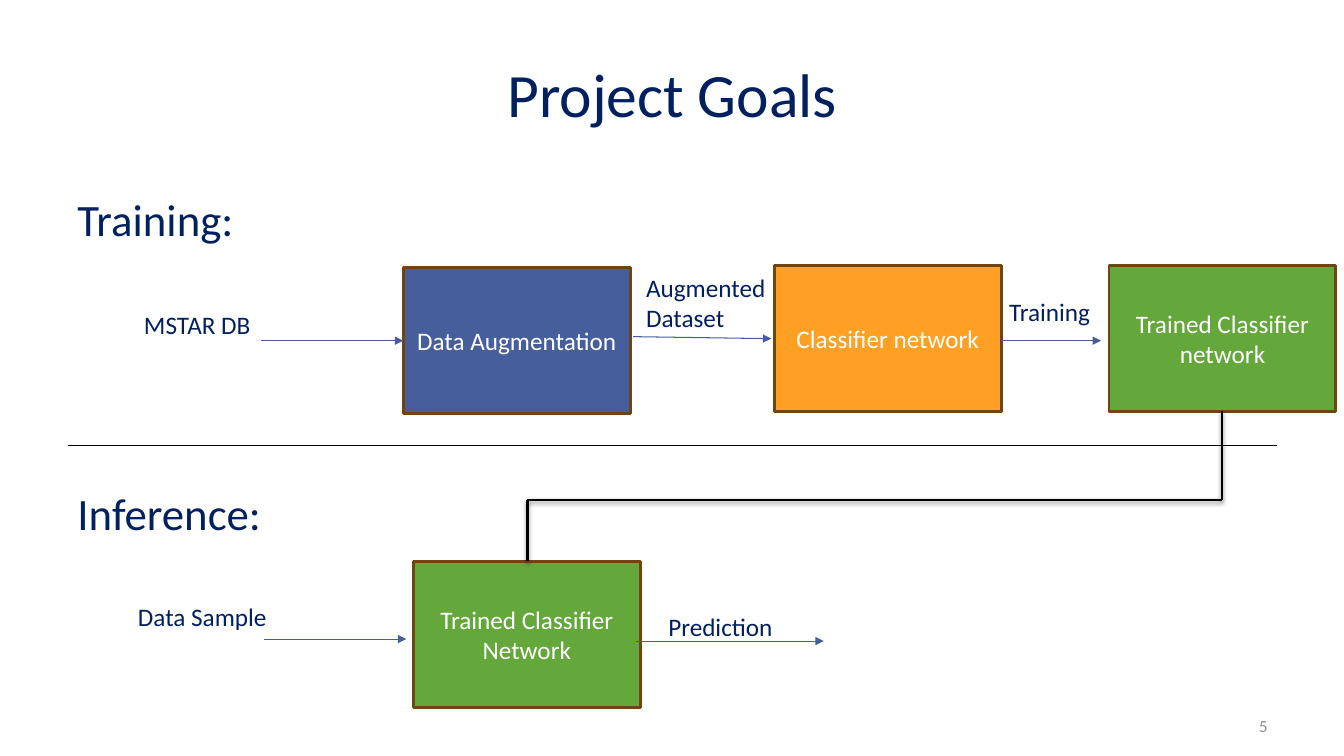
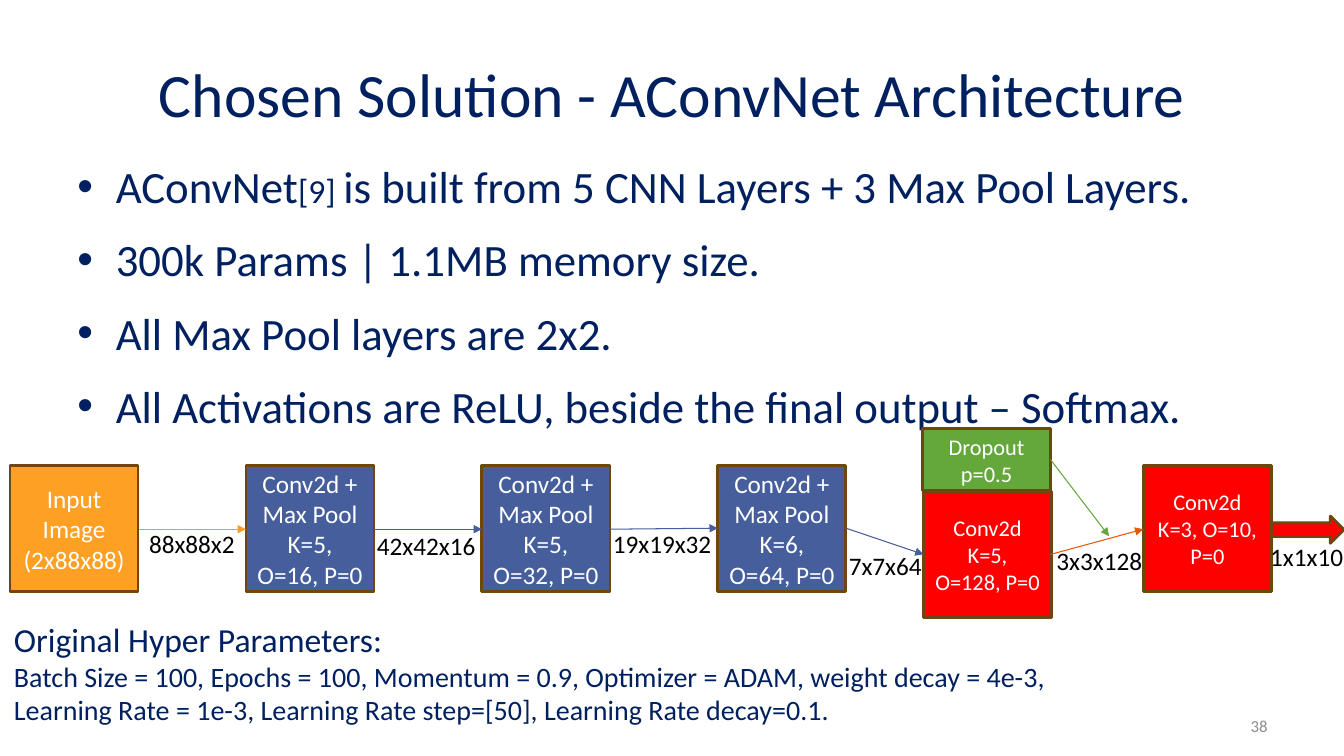
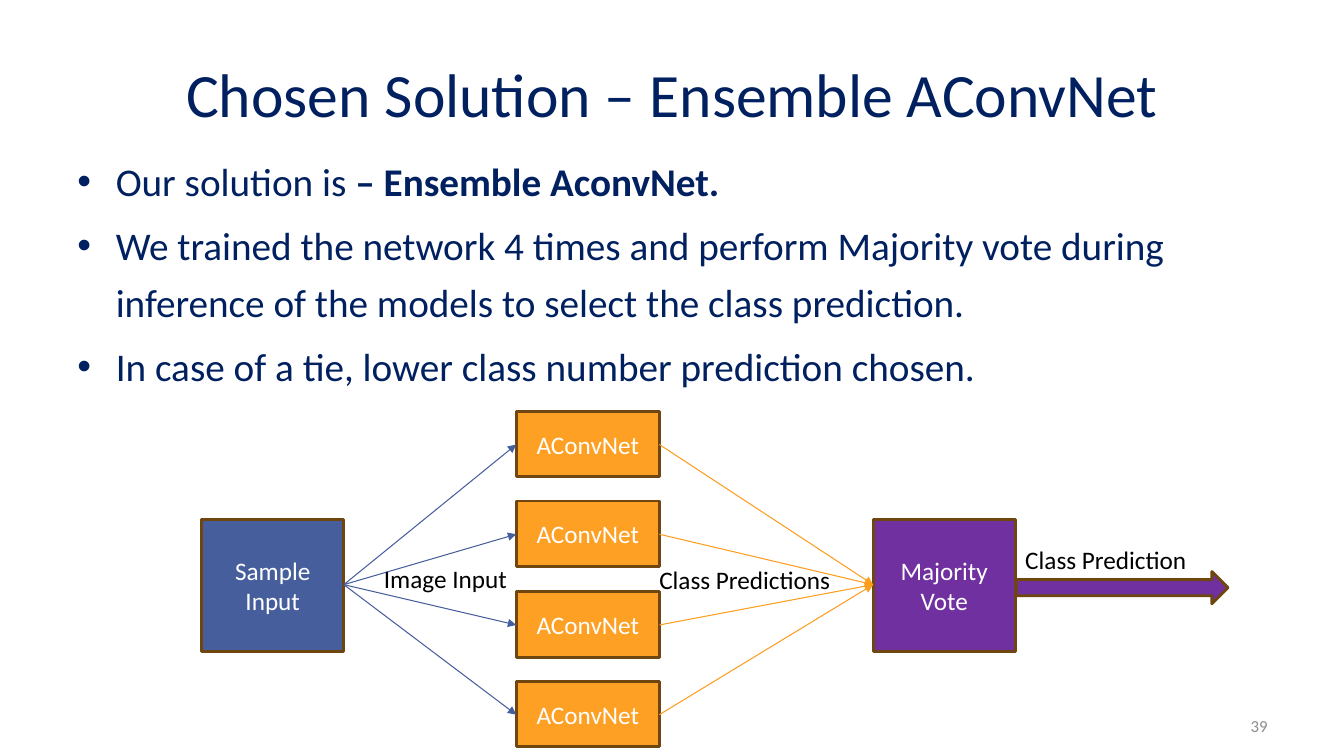
"""Build three slides on a radar image classifier: goals, architecture and ensemble."""
from lxml import etree
from pptx import Presentation
from pptx.dml.color import RGBColor
from pptx.enum.shapes import MSO_CONNECTOR, MSO_SHAPE
from pptx.enum.text import MSO_ANCHOR, PP_ALIGN
from pptx.oxml.ns import qn
from pptx.util import Pt

RECTANGLE, RIGHT_ARROW = MSO_SHAPE.RECTANGLE, MSO_SHAPE.RIGHT_ARROW
STRAIGHT = MSO_CONNECTOR.STRAIGHT
TOP, MIDDLE = MSO_ANCHOR.TOP, MSO_ANCHOR.MIDDLE
LEFT, CENTER, RIGHT = PP_ALIGN.LEFT, PP_ALIGN.CENTER, PP_ALIGN.RIGHT

PX = 9144
FONT, BULLET_FONT = "Calibri", "Arial"
NAVY, BLACK, WHITE, GRAY = "002060", "000000", "FFFFFF", "8C8C8C"
BLUE, ORANGE, GREEN, RED, PURPLE = "465E9C", "FDA023", "64A73B", "FF0000", "7030A0"
BORDER, ORANGE_LINE, RUST_LINE = "6F460F", "FD9D1D", "EB5605"
INDENT = 38

BOX = {"anchor": MIDDLE, "alignment": CENTER, "color": WHITE}
LABEL = {"wrap": False}
DARK_LABEL = {"wrap": False, "color": BLACK}
BODY = {"size": 32, "line_spacing": 1.2}
NUMBER = {"anchor": MIDDLE, "alignment": RIGHT, "color": GRAY, "size": 12}


def add_block(slide, box, paragraphs, fill=None, kind=RECTANGLE, size=18, color=NAVY,
              anchor=TOP, alignment=LEFT, wrap=True, line_spacing=1.0, gap=0, bullet=False):
    """Add a filled shape, or a text box without a fill, and write its paragraphs."""
    left, top, width, height = [value * PX for value in box]
    if fill:
        shape = slide.shapes.add_shape(kind, left, top, width, height)
        shape.shadow.inherit = False
        shape.fill.solid()
        shape.fill.fore_color.rgb = RGBColor.from_string(fill)
        shape.line.color.rgb = RGBColor.from_string(BORDER)
        shape.line.width = Pt(2)
    else:
        shape = slide.shapes.add_textbox(left, top, width, height)
    frame = shape.text_frame
    frame.word_wrap, frame.vertical_anchor = wrap, anchor
    for index, runs in enumerate(paragraphs):
        paragraph = frame.add_paragraph() if index else frame.paragraphs[0]
        if bullet:
            properties = paragraph._p.get_or_add_pPr()
            properties.set("marL", str(INDENT * PX))
            properties.set("indent", str(-INDENT * PX))
            etree.SubElement(properties, qn("a:buFont"), typeface=BULLET_FONT)
            etree.SubElement(properties, qn("a:buChar"), char="•")
        paragraph_format = {"alignment": alignment, "line_spacing": line_spacing,
                            "space_before": Pt(gap if index else 0)}
        for name, value in paragraph_format.items():
            setattr(paragraph, name, value)
        for text, changes in [(runs, {})] if isinstance(runs, str) else runs:
            run = paragraph.add_run()
            run.text = text
            run.font.color.rgb = RGBColor.from_string(color)
            for name, value in {"name": FONT, "size": Pt(size), **changes}.items():
                setattr(run.font, name, value)


def connect(slide, start, end, color=BLUE, width=0.75, arrow=True, shadow=False):
    """Draw a straight line between two points, with an optional arrowhead or shadow."""
    points = [value * PX for value in (*start, *end)]
    connector = slide.shapes.add_connector(STRAIGHT, *points)
    connector.line.color.rgb = RGBColor.from_string(color)
    connector.line.width = Pt(width)
    if arrow:
        etree.SubElement(connector.line._get_or_add_ln(), qn("a:tailEnd"), type="triangle")
    effects = etree.SubElement(connector._element.spPr, qn("a:effectLst"))
    if shadow:
        outer = etree.SubElement(effects, qn("a:outerShdw"), blurRad=str(Pt(3.1)),
                                 dist=str(Pt(1.6)), dir="5400000", rotWithShape="0")
        shade = etree.SubElement(outer, qn("a:srgbClr"), val=BLACK)
        etree.SubElement(shade, qn("a:alpha"), val="38000")


presentation = Presentation()
presentation.slide_width, presentation.slide_height = 1333 * PX, 750 * PX

slides = []
for title_text, number in [("Project Goals", "5"),
                           ("Chosen Solution - AConvNet Architecture", "38"),
                           ("Chosen Solution – Ensemble AConvNet", "39")]:
    slide = presentation.slides.add_slide(presentation.slide_layouts[5])
    title = slide.shapes.title
    title_box = {"left": 67, "top": 30, "width": 1200, "height": 125}
    for name, value in title_box.items():
        setattr(title, name, value * PX)
    title.text_frame.text = title_text
    title.text_frame.vertical_anchor = MIDDLE
    paragraph = title.text_frame.paragraphs[0]
    paragraph.alignment = CENTER
    title_font = paragraph.runs[0].font
    title_font.color.rgb = RGBColor.from_string(NAVY)
    for name, value in {"name": FONT, "size": Pt(44)}.items():
        setattr(title_font, name, value)
    add_block(slide, (956, 700, 311, 40), [number], **NUMBER)
    slides.append(slide)
goals, architecture, ensemble = slides

for top, heading in [(175, "Training:"), (466, "Inference:")]:
    add_block(goals, (67, top, 1200, 75), [heading], **BODY)
for left, top, text, fill in [(400, 265, "Data Augmentation", BLUE),
                              (768, 263, "Classifier network", ORANGE),
                              (1100, 263, "Trained Classifier network", GREEN),
                              (410, 557, "Trained Classifier Network", GREEN)]:
    add_block(goals, (left, top, 225, 145), [text], fill, **BOX)
for box, lines in [((133, 302, 127, 40), ["MSTAR DB"]),
                   ((631, 265, 146, 71), ["Augmented", "Dataset"]),
                   ((991, 289, 101, 40), ["Training"]),
                   ((127, 592, 149, 40), ["Data Sample"]),
                   ((653, 602, 125, 40), ["Prediction"])]:
    add_block(goals, box, lines, **LABEL)
for start, end in [((259, 338), (400, 338)), ((628, 334), (765, 336)),
                   ((993, 338), (1092, 338)), ((262, 634), (403, 634)),
                   ((631, 636), (817, 636))]:
    connect(goals, start, end)
connect(goals, (67, 442), (1267, 442), BLACK, arrow=False)
reuse_route = [(1212, 408), (1212, 496), (523, 496), (523, 557)]
for start, end in zip(reuse_route, reuse_route[1:]):
    connect(goals, start, end, BLACK, 2, arrow=False, shadow=True)

add_block(architecture, (67, 142, 1200, 310), [
    [("AConvNet", {}), ("[9] ", {"size": Pt(24)}),
     ("is built from 5 CNN Layers + 3 Max Pool Layers.", {})],
    "300k Params | 1.1MB memory size.",
    "All Max Pool layers are 2x2.",
    "All Activations are ReLU, beside the final output – Softmax.",
], gap=6.2, bullet=True, **BODY)
first_layers = [(["Input Image (2x88x88)"], ORANGE),
                (["Conv2d + Max Pool", "K=5, O=16, P=0"], BLUE),
                (["Conv2d + Max Pool", "K=5, O=32, P=0"], BLUE),
                (["Conv2d + Max Pool", "K=6, O=64, P=0"], BLUE)]
for index, (lines, fill) in enumerate(first_layers):
    add_block(architecture, (10 + 234 * index, 462, 127, 125), lines, fill, **BOX)
for box, lines, fill in [((916, 488, 127, 125), ["Conv2d", "K=5, O=128, P=0"], RED),
                         ((1134, 462, 127, 125), ["Conv2d", "K=3, O=10, P=0"], RED),
                         ((915, 425, 127, 62), ["Dropout p=0.5"], GREEN)]:
    add_block(architecture, box, lines, fill, size=16, **BOX)
add_block(architecture, (1261, 512, 72, 27), [], RED, RIGHT_ARROW)
for left, top, width, text in [(138, 519, 106, "88x88x2"), (364, 521, 119, "42x42x16"),
                               (598, 519, 119, "19x19x32"), (832, 541, 93, "7x7x64"),
                               (1038, 536, 106, "3x3x128"), (1250, 532, 93, "1x1x10")]:
    add_block(architecture, (left, top, width, 40), [text], **DARK_LABEL)
for start, end, color in [((138, 525), (244, 525), ORANGE_LINE),
                          ((371, 525), (478, 525), BLUE),
                          ((605, 525), (712, 524), BLUE),
                          ((839, 524), (916, 550), BLUE),
                          ((1042, 456), (1100, 532), GREEN),
                          ((1042, 550), (1134, 525), RUST_LINE)]:
    connect(architecture, start, end, color)
add_block(architecture, (4, 609, 1314, 130), [
    [("Original Hyper Parameters:", {"size": Pt(24)})],
    "Batch Size = 100, Epochs = 100, Momentum = 0.9, Optimizer = ADAM, weight decay = 4e-3,",
    "Learning Rate = 1e-3, Learning Rate step=[50], Learning Rate decay=0.1.",
], size=20)

add_block(ensemble, (67, 142, 1200, 260), [
    [("Our solution is ", {}), ("– Ensemble AconvNet.", {"bold": True})],
    "We trained the network 4 times and perform Majority vote during inference "
    "of the models to select the class prediction.",
    "In case of a tie, lower class number prediction chosen.",
], gap=5.5, bullet=True, **{**BODY, "size": 28})
for left, text, fill in [(200, "Sample Input", BLUE), (866, "Majority Vote", PURPLE)]:
    add_block(ensemble, (left, 515, 141, 131), [text], fill, **BOX)
add_block(ensemble, (1008, 567, 210, 32), [], PURPLE, RIGHT_ARROW)
network_tops = [408 + round(89.4 * index) for index in range(4)]
for top in network_tops:
    add_block(ensemble, (512, top, 142, 65), ["AConvNet"], ORANGE, **BOX)
    connect(ensemble, (341, 580), (512, top + 33))
    connect(ensemble, (654, top + 33), (866, 580), ORANGE_LINE)
for left, top, width, text in [(371, 554, 144, "Image Input"),
                               (644, 555, 191, "Class Predictions"),
                               (1007, 535, 182, "Class Prediction")]:
    add_block(ensemble, (left, top, width, 40), [text], **DARK_LABEL)

presentation.save("out.pptx")
